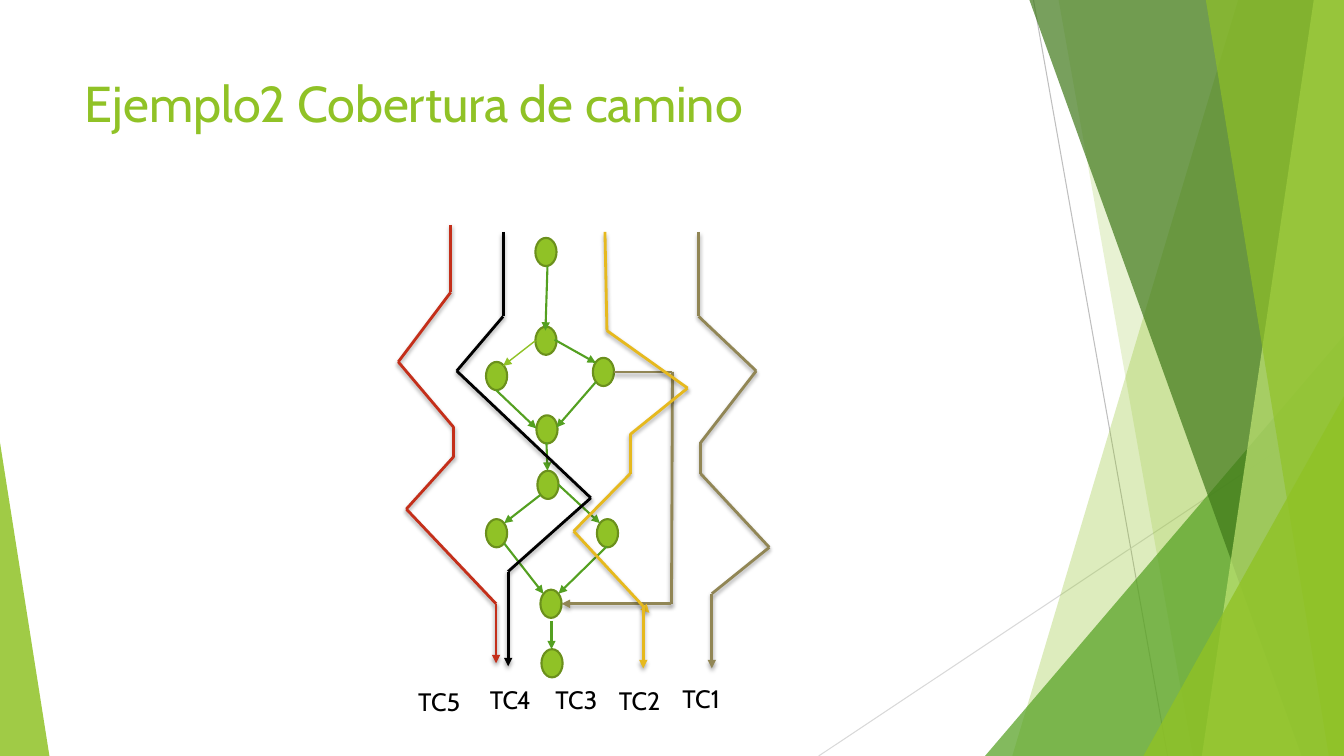
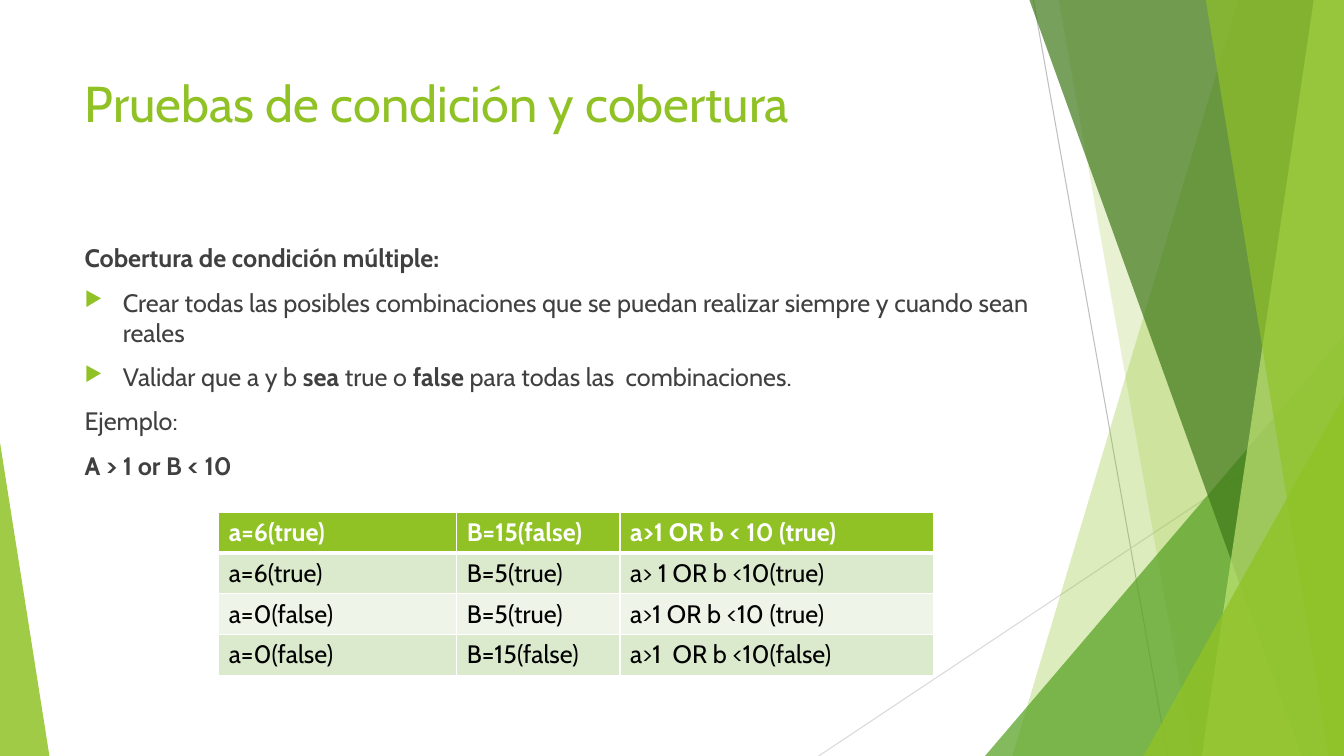
from itertools import pairwise

from lxml import etree
from pptx import Presentation
from pptx import util as u
from pptx.dml.color import RGBColor
from pptx.enum import shapes, text
from pptx.oxml.ns import qn

PX = 9144
WIDTH, HEIGHT = 1333, 750
FONT = "Cabin"

LIME = RGBColor(0x90, 0xC2, 0x26)
LIME_EDGE = RGBColor(0x6B, 0x90, 0x1C)
PALE_LIME = RGBColor(0xC0, 0xE4, 0x74)
GREEN = RGBColor(0x54, 0xA0, 0x21)
FOREST = RGBColor(0x3F, 0x78, 0x19)
RED = RGBColor(0xC4, 0x2F, 0x1A)
GOLD = RGBColor(0xE6, 0xB9, 0x1E)
TAUPE = RGBColor(0x91, 0x86, 0x55)
GREY = RGBColor(0xBF, 0xBF, 0xBF)
LIGHT_GREY = RGBColor(0xD9, 0xD9, 0xD9)
DARK = RGBColor(0x40, 0x40, 0x40)
BLACK = RGBColor(0, 0, 0)
WHITE = RGBColor(0xFF, 0xFF, 0xFF)
ROW_DARK = RGBColor(0xDB, 0xE9, 0xCD)
ROW_LIGHT = RGBColor(0xEE, 0xF4, 0xE8)

NODES = [(531, 236), (531, 324), (482, 359), (588, 355), (532, 412),
         (533, 467), (482, 515), (592, 515), (536, 585), (537, 644)]

EDGES = [
    (543, 264, 541, 328), (550, 337, 591, 360), (591, 379, 552, 424),
    (547, 616, 547, 644), (492, 387, 532, 425), (542, 439, 543, 467),
    (554, 481, 595, 519), (536, 491, 500, 519), (602, 542, 554, 589),
    (500, 539, 539, 589),
]

PATHS = [
    (RED, [(447, 223), (447, 290), (395, 359), (450, 424), (450, 453),
           (403, 505), (492, 599), (492, 658)]),
    (TAUPE, [(609, 369), (667, 369), (666, 599), (557, 599)]),
    (BLACK, [(499, 230), (499, 314), (453, 368), (586, 494), (504, 567),
             (504, 661)]),
    (GOLD, [(600, 230), (602, 328), (682, 385), (625, 431), (625, 470),
            (569, 527), (644, 608)]),
    (GOLD, [(638, 601), (638, 663)]),
    (TAUPE, [(693, 230), (693, 314), (750, 368), (695, 439), (695, 470),
             (763, 543), (706, 589), (706, 663)]),
]

LABELS = [("TC5", 405, 676), ("TC4", 476, 674), ("TC3", 541, 674),
          ("TC2", 604, 675), ("TC1", 667, 673)]

BODY = [
    (False, [("Cobertura de condición múltiple:", True)]),
    (True, [("Crear todas las posibles combinaciones que se puedan realizar "
             "siempre y cuando sean reales", False)]),
    (True, [("Validar que a y b ", False), ("sea", True), (" true o ", False),
            ("false", True), (" para todas las  combinaciones.", False)]),
    (False, [("Ejemplo:", False)]),
    (False, [("A > 1 or B < 10", True)]),
]

COLUMNS = [236, 162, 311]
ROWS = [
    ["a=6(true)", "B=15(false)", "a>1 OR b < 10 (true)"],
    ["a=6(true)", "B=5(true)", "a> 1 OR b <10(true)"],
    ["a=0(false)", "B=5(true)", "a>1 OR b <10 (true)"],
    ["a=0(false)", "B=15(false)", "a>1  OR b <10(false)"],
]


def px(*values):
    return [u.Emu(v * PX) for v in values]


def child(parent, tag, **attrs):
    el = etree.SubElement(parent, qn(tag))
    for name, value in attrs.items():
        el.set(name, str(value))
    return el


def add_run(p, words, size, color, bold=False):
    r = p.add_run()
    r.text = words
    r.font.name = FONT
    r.font.size = u.Pt(size)
    r.font.bold = bold
    r.font.color.rgb = color


def fill_shape(sp, color, alpha=100):
    sp.shadow.inherit = False
    sp.fill.solid()
    sp.fill.fore_color.rgb = color
    sp.line.fill.background()
    if alpha < 100:
        clr = sp.fill._xPr.find(qn("a:solidFill"))[0]
        child(clr, "a:alpha", val=alpha * 1000)


def add_wedge(s, top_x, bottom_x, color, alpha):
    fb = s.shapes.build_freeform(top_x, 0, scale=PX)
    fb.add_line_segments([(WIDTH, 0), (WIDTH, HEIGHT), (bottom_x, HEIGHT)])
    fill_shape(fb.convert_to_shape(), color, alpha)


def add_triangle(s, x, y, right, apex, color, alpha):
    sp = s.shapes.add_shape(shapes.MSO_SHAPE.ISOSCELES_TRIANGLE,
                            *px(x, y, right - x, HEIGHT - y))
    sp.adjustments[0] = apex
    fill_shape(sp, color, alpha)


def add_line(s, points, color, width, arrow=False, shadow=False):
    sp = s.shapes.add_connector(shapes.MSO_CONNECTOR.STRAIGHT, *px(*points))
    sp.line.color.rgb = color
    sp.line.width = u.Pt(width)
    if arrow:
        child(sp.line._get_or_add_ln(), "a:tailEnd", type="triangle")
    effects = child(sp._element.spPr, "a:effectLst")
    if shadow:
        shade = child(effects, "a:outerShdw", blurRad=u.Pt(3), dist=u.Pt(2),
                      dir=5400000, rotWithShape=0)
        child(child(shade, "a:srgbClr", val=BLACK), "a:alpha", val=35000)


def add_path(s, color, points):
    last = len(points) - 2
    for i, (start, end) in enumerate(pairwise(points)):
        add_line(s, start + end, color, 2, arrow=i == last, shadow=True)


def add_node(s, x, y):
    sp = s.shapes.add_shape(shapes.MSO_SHAPE.OVAL, *px(x, y, 21, 28))
    fill_shape(sp, LIME)
    sp.line.color.rgb = LIME_EDGE
    sp.line.width = u.Pt(1.5)


def add_label(s, words, x, y):
    tf = s.shapes.add_textbox(*px(x, y, 63, 40)).text_frame
    tf.word_wrap = False
    add_run(tf.paragraphs[0], words, 18, BLACK)


def add_backdrop(s):
    add_line(s, (1025, 0, 1158, HEIGHT), GREY, 0.75)
    add_line(s, (WIDTH, 403, 812, HEIGHT), LIGHT_GREY, 0.75)
    add_wedge(s, 1228, 1004, LIME, 30)
    add_wedge(s, 1050, 1183, LIME, 20)
    add_triangle(s, 977, 333, WIDTH, 1, GREEN, 72)
    add_wedge(s, 1021, 1291, FOREST, 70)
    add_wedge(s, 1303, 1192, PALE_LIME, 70)
    add_wedge(s, 1196, 1318, LIME, 65)
    add_triangle(s, 1134, 393, WIDTH, 1, LIME, 80)
    add_triangle(s, 0, 439, 49, 0, LIME, 85)


def add_slide(prs, title):
    s = prs.slides.add_slide(prs.slide_layouts[5])
    add_backdrop(s)
    sp = s.shapes.title
    sp.left, sp.top, sp.width, sp.height = px(74, 67, 940, 144)
    tf = sp.text_frame
    tf.word_wrap = True
    tf.auto_size = text.MSO_AUTO_SIZE.NONE
    tf.vertical_anchor = text.MSO_ANCHOR.TOP
    p = tf.paragraphs[0]
    p.alignment = text.PP_ALIGN.LEFT
    add_run(p, title, 36, LIME)
    return s


def set_bullet(p):
    pPr = p._p.get_or_add_pPr()
    indent = px(38)[0]
    pPr.set("marL", str(indent))
    pPr.set("indent", str(-indent))
    child(child(pPr, "a:buClr"), "a:srgbClr", val=LIME)
    child(pPr, "a:buSzPct", val=80000)
    child(pPr, "a:buChar", char="▶")


def add_body(s):
    tf = s.shapes.add_textbox(*px(74, 236, 980, 447)).text_frame
    tf.word_wrap = True
    for i, (bulleted, runs) in enumerate(BODY):
        p = tf.add_paragraph() if i else tf.paragraphs[0]
        if bulleted:
            set_bullet(p)
        if i:
            p.space_before = u.Pt(10)
        for words, bold in runs:
            add_run(p, words, 18, DARK, bold)


def set_borders(cell, top, bottom):
    tcPr = cell._tc.get_or_add_tcPr()
    for side, width in (("L", 1), ("R", 1), ("T", top), ("B", bottom)):
        ln = child(tcPr, "a:ln" + side, w=u.Pt(width))
        child(child(ln, "a:solidFill"), "a:srgbClr", val=WHITE)


def add_truth_table(s):
    tbl = s.shapes.add_table(len(ROWS), len(COLUMNS),
                             *px(217, 508, sum(COLUMNS), 162)).table
    for column, width in zip(tbl.columns, px(*COLUMNS)):
        column.width = width
    for i, row in enumerate(ROWS):
        header = i == 0
        fill = LIME if header else ROW_DARK if i % 2 else ROW_LIGHT
        for j, words in enumerate(row):
            cell = tbl.cell(i, j)
            set_borders(cell, 3 if i == 1 else 1, 3 if header else 1)
            cell.fill.solid()
            cell.fill.fore_color.rgb = fill
            add_run(cell.text_frame.paragraphs[0], words, 18,
                    WHITE if header else BLACK, header)


def build_path_slide(prs):
    s = add_slide(prs, "Ejemplo2 Cobertura de camino")
    for node in NODES:
        add_node(s, *node)
    for edge in EDGES:
        add_line(s, edge, GREEN, 1.5, arrow=True)
    add_line(s, (531, 338, 499, 363), LIME, 1, arrow=True)
    for path_color, points in PATHS:
        add_path(s, path_color, points)
    for label in LABELS:
        add_label(s, *label)


def build_condition_slide(prs):
    s = add_slide(prs, "Pruebas de condición y cobertura")
    add_body(s)
    add_truth_table(s)


def main():
    prs = Presentation()
    prs.slide_width, prs.slide_height = px(WIDTH, HEIGHT)
    build_path_slide(prs)
    build_condition_slide(prs)
    prs.save("out.pptx")


if __name__ == "__main__":
    main()
